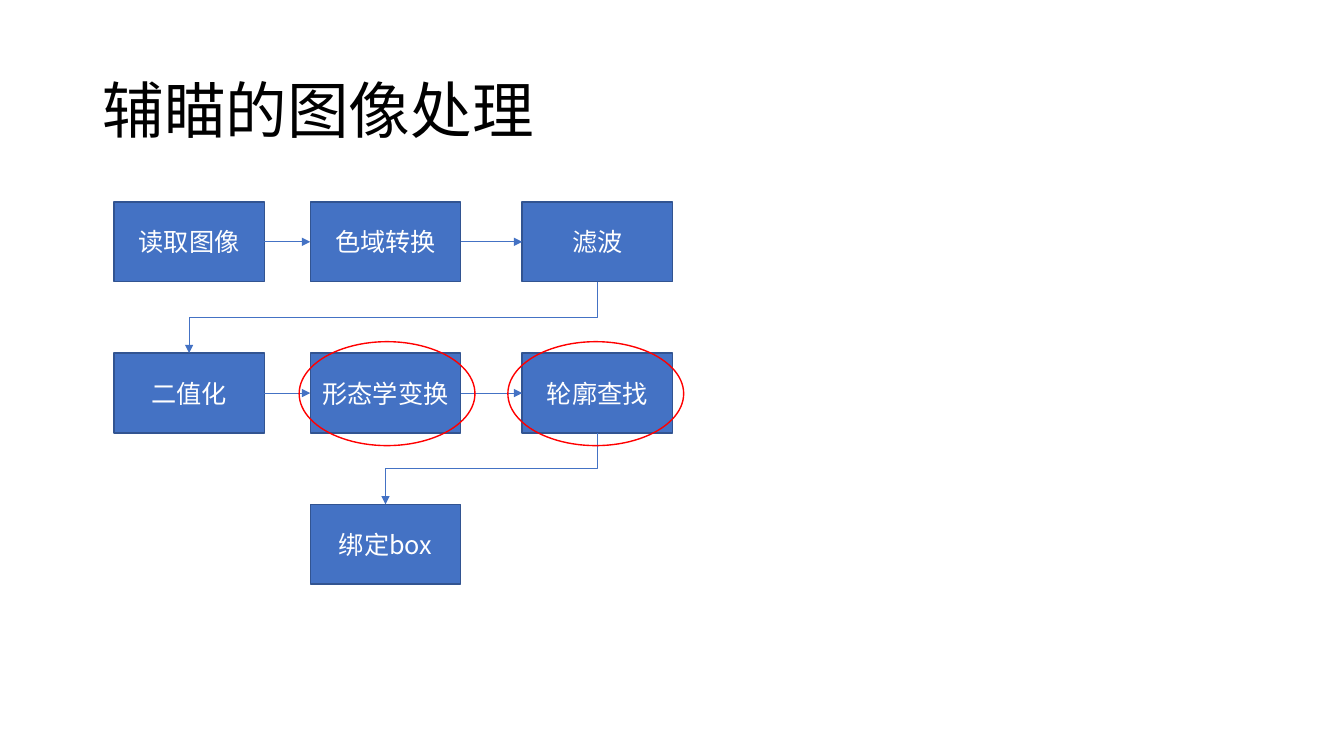
from dataclasses import dataclass

from pptx import Presentation
from pptx.dml.color import RGBColor
from pptx.enum.shapes import MSO_CONNECTOR, MSO_SHAPE
from pptx.enum.text import MSO_ANCHOR, PP_ALIGN
from pptx.oxml.ns import qn
from pptx.oxml.xmlchemy import OxmlElement
from pptx.shapes.autoshape import Shape
from pptx.shapes.connector import Connector
from pptx.slide import Slide
from pptx.text.text import _Paragraph as Paragraph
from pptx.util import Cm, Pt


@dataclass(frozen=True)
class Theme:
    font: str = "Noto Sans CJK SC"
    title_size: Pt = Pt(44)
    step_size: Pt = Pt(18)
    outline: Pt = Pt(1)
    arrow_width: Pt = Pt(0.5)
    ink: RGBColor = RGBColor(0x00, 0x00, 0x00)
    step_ink: RGBColor = RGBColor(0xFF, 0xFF, 0xFF)
    step_fill: RGBColor = RGBColor(0x44, 0x72, 0xC4)
    step_outline: RGBColor = RGBColor(0x32, 0x54, 0x91)
    highlight: RGBColor = RGBColor(0xFF, 0x00, 0x00)


@dataclass(frozen=True)
class Step:
    label: str
    column: int
    row: int


THEME = Theme()
STEPS = (
    Step("读取图像", 0, 0),
    Step("色域转换", 1, 0),
    Step("滤波", 2, 0),
    Step("二值化", 0, 1),
    Step("形态学变换", 1, 1),
    Step("轮廓查找", 2, 1),
    Step("绑定box", 1, 2),
)
COLUMN_LEFTS = (Cm(2.87), Cm(7.82), Cm(13.16))
FIRST_ROW_TOP, ROW_PITCH = Cm(5.09), Cm(3.81)
STEP_WIDTH, STEP_HEIGHT = Cm(3.79), Cm(2.01)
HIGHLIGHT_LEFTS = (Cm(7.54), Cm(12.8))
HIGHLIGHT_TOP, HIGHLIGHT_WIDTH, HIGHLIGHT_HEIGHT = Cm(8.61), Cm(4.43), Cm(2.62)
TOP, LEFT, BOTTOM, RIGHT = range(4)


def format_text(paragraph: Paragraph, size: Pt, color: RGBColor) -> None:
    for run in paragraph.runs:
        run.font.size = size
        run.font.color.rgb = color
        run.font.name = THEME.font
        east_asian = OxmlElement("a:ea")
        east_asian.set("typeface", THEME.font)
        run.font._element.find(qn("a:latin")).addnext(east_asian)


def add_title(slide: Slide, wording: str) -> None:
    title = slide.shapes.title
    title.left, title.top = Cm(2.33), Cm(1.01)
    title.width, title.height = Cm(29.21), Cm(3.68)
    title.text_frame.text = wording
    title.text_frame.vertical_anchor = MSO_ANCHOR.MIDDLE
    heading = title.text_frame.paragraphs[0]
    heading.alignment = PP_ALIGN.LEFT
    heading.line_spacing = 0.9
    format_text(heading, THEME.title_size, THEME.ink)


def add_step(slide: Slide, step: Step) -> Shape:
    box = slide.shapes.add_shape(
        MSO_SHAPE.RECTANGLE,
        COLUMN_LEFTS[step.column],
        FIRST_ROW_TOP + step.row * ROW_PITCH,
        STEP_WIDTH,
        STEP_HEIGHT,
    )
    box.shadow.inherit = False
    box.fill.solid()
    box.fill.fore_color.rgb = THEME.step_fill
    box.line.color.rgb = THEME.step_outline
    box.line.width = THEME.outline
    box.text_frame.text = step.label
    box.text_frame.vertical_anchor = MSO_ANCHOR.MIDDLE
    label = box.text_frame.paragraphs[0]
    label.alignment = PP_ALIGN.CENTER
    format_text(label, THEME.step_size, THEME.step_ink)
    return box


def turn_downward(elbow: Connector) -> None:
    """Turn a right-to-left elbow by 90 degrees so that it leaves and arrives vertically."""
    width, height = elbow.width, elbow.height
    center_x, center_y = elbow.left + width // 2, elbow.top + height // 2
    elbow.width, elbow.height = height, width
    elbow.left, elbow.top = center_x - height // 2, center_y - width // 2
    transform = elbow._element.spPr.find(qn("a:xfrm"))
    transform.attrib.pop("flipH", None)
    transform.set("rot", "5400000")


def add_arrow(slide: Slide, source: Shape, target: Shape) -> None:
    same_row = source.top == target.top
    kind = MSO_CONNECTOR.STRAIGHT if same_row else MSO_CONNECTOR.ELBOW
    arrow = slide.shapes.add_connector(kind, 0, 0, 0, 0)
    arrow.begin_connect(source, RIGHT if same_row else BOTTOM)
    arrow.end_connect(target, LEFT if same_row else TOP)
    if not same_row:
        turn_downward(arrow)
    arrow.line.color.rgb = THEME.step_fill
    arrow.line.width = THEME.arrow_width
    properties = arrow._element.spPr
    arrowhead = OxmlElement("a:tailEnd")
    arrowhead.set("type", "triangle")
    properties.find(qn("a:ln")).append(arrowhead)
    properties.append(OxmlElement("a:effectLst"))


def add_highlight(slide: Slide, left: Cm) -> None:
    ring = slide.shapes.add_shape(
        MSO_SHAPE.OVAL, left, HIGHLIGHT_TOP, HIGHLIGHT_WIDTH, HIGHLIGHT_HEIGHT
    )
    ring.shadow.inherit = False
    ring.fill.background()
    ring.line.color.rgb = THEME.highlight
    ring.line.width = THEME.outline


def main() -> None:
    presentation = Presentation()
    presentation.slide_width, presentation.slide_height = Cm(33.87), Cm(19.05)
    slide = presentation.slides.add_slide(presentation.slide_layouts[5])
    add_title(slide, "辅瞄的图像处理")
    boxes = [add_step(slide, step) for step in STEPS]
    for source, target in zip(boxes, boxes[1:]):
        add_arrow(slide, source, target)
    for left in HIGHLIGHT_LEFTS:
        add_highlight(slide, left)
    presentation.save("out.pptx")


if __name__ == "__main__":
    main()
